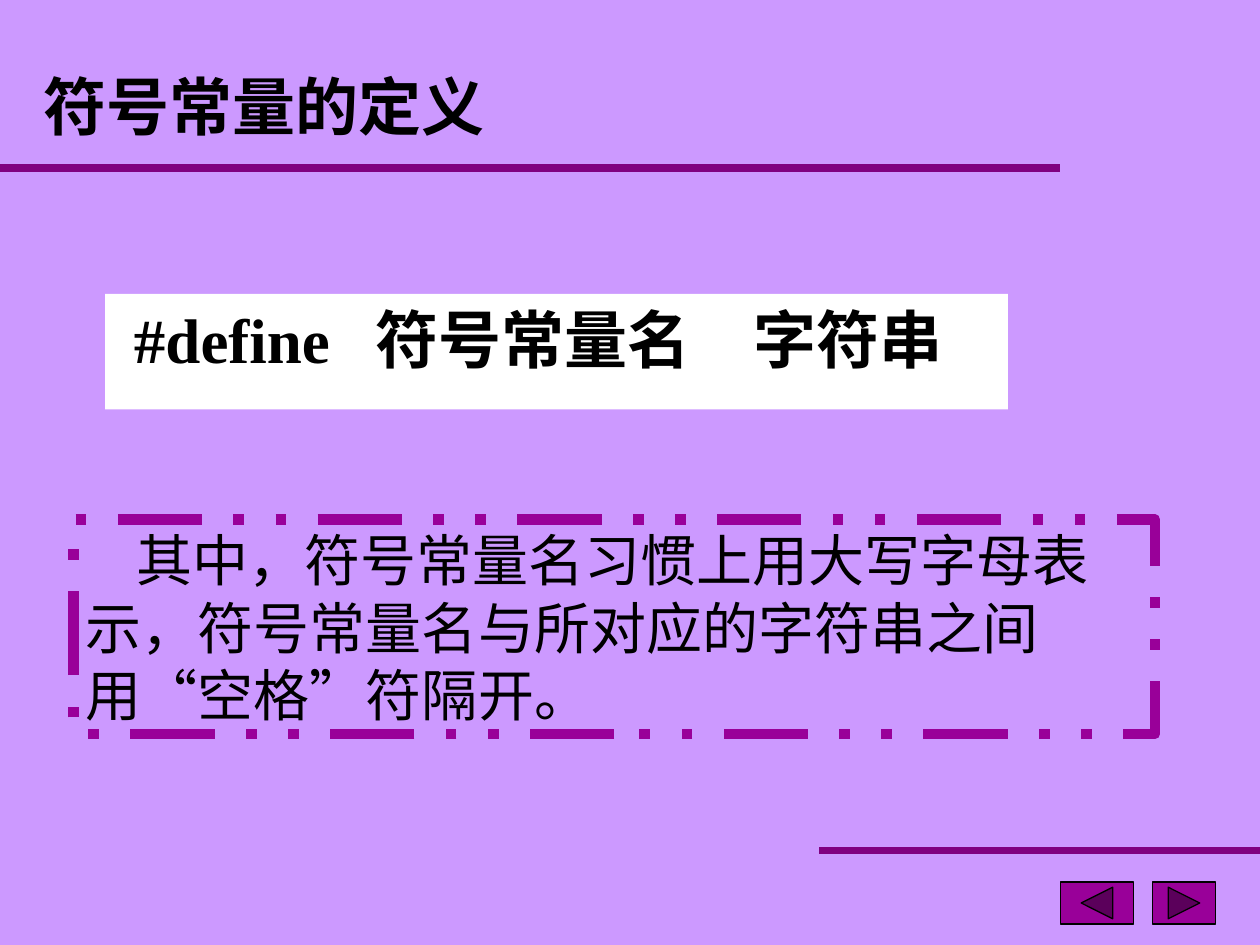
from lxml.etree import SubElement
from pptx import Presentation
from pptx.dml.color import RGBColor
from pptx.enum.dml import MSO_LINE
from pptx.enum.shapes import MSO_CONNECTOR, MSO_SHAPE
from pptx.enum.text import MSO_ANCHOR, MSO_AUTO_SIZE
from pptx.oxml.ns import qn
from pptx.util import Inches, Pt

LILAC = RGBColor(0xCC, 0x99, 0xFF)
PURPLE = RGBColor(0x80, 0x00, 0x80)
VIOLET = RGBColor(0x99, 0x00, 0x99)
WHITE = RGBColor(0xFF, 0xFF, 0xFF)
BLACK = RGBColor(0, 0, 0)
CJK_FONT = "Noto Sans CJK SC"
LATIN_FONT = "Times New Roman"

# The slide is a grid of 120 columns and 90 rows
COLUMNS, ROWS = 120, 90
WIDTH, HEIGHT = Inches(10), Inches(7.5)


def grid(column, row, columns, rows):
    """Box in slide units from grid columns and rows."""
    return (int(WIDTH * column / COLUMNS), int(HEIGHT * row / ROWS),
            int(WIDTH * columns / COLUMNS), int(HEIGHT * rows / ROWS))


def style_font(run, name, size, bold=False):
    run.font.name = name
    run.font.size = Pt(size)
    run.font.bold = bold
    run.font.color.rgb = BLACK
    SubElement(run.font._element, qn("a:ea")).set("typeface", name)


def add_panel(slide, box):
    """Text box with wrapped text; returns it with its first paragraph."""
    panel = slide.shapes.add_textbox(*box)
    panel.text_frame.word_wrap = True
    return panel, panel.text_frame.paragraphs[0]


def add_rule(slide, box):
    left, top, width, _ = box
    rule = slide.shapes.add_connector(
        MSO_CONNECTOR.STRAIGHT, left, top, left + width, top)
    rule.line.color.rgb = PURPLE
    rule.line.width = Pt(4.5)
    SubElement(rule._element.spPr, qn("a:effectLst"))


def add_title(slide, box):
    title, heading = add_panel(slide, box)
    title.text_frame.vertical_anchor = MSO_ANCHOR.MIDDLE
    heading.text = "符号常量的定义"
    style_font(heading.runs[0], CJK_FONT, 36, bold=True)


def add_syntax(slide, box):
    syntax, statement = add_panel(slide, box)
    syntax.fill.solid()
    syntax.fill.fore_color.rgb = WHITE
    syntax.text_frame.margin_left = Inches(0.23)
    # One tab stop lines up the constant's name
    tabs = SubElement(statement._p.get_or_add_pPr(), qn("a:tabLst"))
    stop = SubElement(tabs, qn("a:tab"))
    stop.set("pos", str(Inches(1.92)))
    stop.set("algn", "l")
    for words, font in (("#define\t", LATIN_FONT),
                        ("符号常量名　字符串", CJK_FONT)):
        run = statement.add_run()
        run.text = words
        style_font(run, font, 36, bold=True)


def add_note(slide, box):
    note, remark = add_panel(slide, box)
    note.text_frame.auto_size = MSO_AUTO_SIZE.SHAPE_TO_FIT_TEXT
    note.line.color.rgb = VIOLET
    note.line.width = Pt(6)
    note.line.dash_style = MSO_LINE.DASH_DOT_DOT
    remark.text = ("其中，符号常量名习惯上用大写字母表示，"
                   "符号常量名与所对应的字符串之间用“空格”符隔开。")
    remark._p.get_or_add_pPr().set("indent", str(Inches(0.4)))
    style_font(remark.runs[0], CJK_FONT, 32)


def add_navigation(slide, box):
    """Back and next buttons at the two ends of the box."""
    left, top, width, height = box
    back_width, next_width = int(width * 0.47), int(width * 0.41)
    for kind, button_left, button_width in (
            (MSO_SHAPE.ACTION_BUTTON_BACK_OR_PREVIOUS, left, back_width),
            (MSO_SHAPE.ACTION_BUTTON_FORWARD_OR_NEXT,
             left + width - next_width, next_width)):
        button = slide.shapes.add_shape(
            kind, button_left, top, button_width, height)
        button.shadow.inherit = False
        button.fill.solid()
        button.fill.fore_color.rgb = VIOLET
        button.line.color.rgb = BLACK
        button.line.width = Pt(0.75)


def main():
    deck = Presentation()
    deck.slide_width, deck.slide_height = WIDTH, HEIGHT
    slide = deck.slides.add_slide(deck.slide_layouts[6])
    slide.background.fill.solid()
    slide.background.fill.fore_color.rgb = LILAC

    add_title(slide, grid(3, 6, 50, 8))
    add_syntax(slide, grid(10, 28, 86, 11))
    add_rule(slide, grid(78, 81, 42, 0))
    add_navigation(slide, grid(101, 84, 14.8, 4))
    add_rule(slide, grid(0, 16, 101, 0))
    add_note(slide, grid(7, 49.5, 103, 20.4))

    deck.save("out.pptx")


if __name__ == "__main__":
    main()
